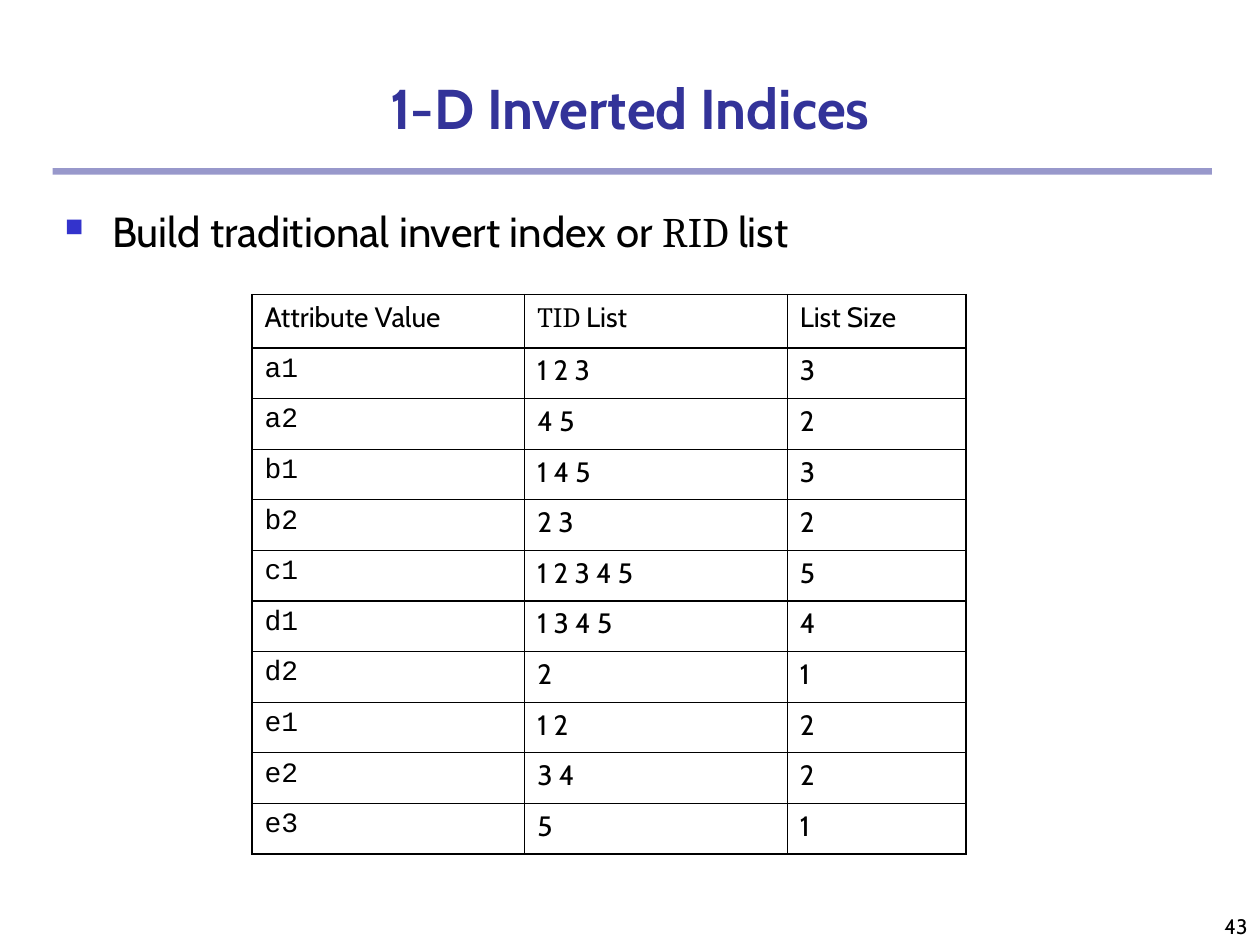
from lxml.etree import SubElement
from pptx import Presentation
from pptx.dml.color import RGBColor
from pptx.enum.shapes import MSO_SHAPE as Shape
from pptx.enum.text import MSO_ANCHOR as Anchor, PP_ALIGN as Align
from pptx.oxml import parse_xml
from pptx.oxml.ns import nsdecls, qn
from pptx.util import Cm, Pt

TITLE = "1-D Inverted Indices"
PAGE = "43"
SANS, SERIF, MONO = "Cabin", "Cambria", "Courier New"
BULLET = [("Build traditional invert index or ", SANS), ("RID", SERIF), (" list", SANS)]
HEADER = [[("Attribute Value", SANS)], [("TID ", SERIF), ("List", SANS)], [("List Size", SANS)]]
TID_LISTS = [
    ("a1", "1 2 3"), ("a2", "4 5"),
    ("b1", "1 4 5"), ("b2", "2 3"),
    ("c1", "1 2 3 4 5"),
    ("d1", "1 3 4 5"), ("d2", "2"),
    ("e1", "1 2"), ("e2", "3 4"), ("e3", "5"),
]
COLUMN_WIDTHS = [5.5, 5.29, 3.6]
HEADER_HEIGHT, ROW_HEIGHT = 1.07, 1.02
THIN, OUTER, HEAVY = 0.45, 1.08, 1.47
HEAVY_RULES = (1, 6)

NAVY = RGBColor(0x33, 0x33, 0x99)
BULLET_BLUE = RGBColor(0x33, 0x33, 0xCC)
BLACK = RGBColor(0, 0, 0)


def add_runs(paragraph, parts, size, color=BLACK, bold=False):
    for text, font_name in parts:
        run = paragraph.add_run()
        run.text = text
        run.font.name = font_name
        run.font.size = Pt(size)
        run.font.bold = bold
        run.font.color.rgb = color


def place(shape, left, top, width, height):
    shape.left, shape.top, shape.width, shape.height = map(Cm, (left, top, width, height))


def add_text(slide, box):
    frame = slide.shapes.add_textbox(*map(Cm, box)).text_frame
    frame.word_wrap = True
    return frame


def add_bullet(paragraph):
    props = paragraph._p.get_or_add_pPr()
    props.set("marL", str(Cm(0.95)))
    props.set("indent", str(-Cm(0.95)))
    color = SubElement(props, qn("a:buClr"))
    SubElement(color, qn("a:srgbClr"), val=str(BULLET_BLUE))
    SubElement(props, qn("a:buSzPct"), val="60000")
    SubElement(props, qn("a:buChar"), char="■")


def set_borders(cell, widths):
    props = cell._tc.get_or_add_tcPr()
    for position, (side, width) in enumerate(zip("LRTB", widths)):
        props.insert(position, parse_xml(
            f'<a:ln{side} {nsdecls("a")} w="{Pt(width)}"><a:solidFill>'
            f'<a:srgbClr val="{BLACK}"/></a:solidFill></a:ln{side}>'))


def rule_width(index, last):
    if index in HEAVY_RULES:
        return HEAVY
    return OUTER if index in (0, last) else THIN


def add_index_table(slide):
    rows = [HEADER] + [
        [[(value, MONO)], [(tids, SANS)], [(str(len(tids.split())), SANS)]]
        for value, tids in TID_LISTS
    ]
    heights = [HEADER_HEIGHT] + [ROW_HEIGHT] * len(TID_LISTS)
    columns = len(COLUMN_WIDTHS)
    table = slide.shapes.add_table(
        len(rows), columns, Cm(5.08), Cm(5.94),
        Cm(sum(COLUMN_WIDTHS)), Cm(sum(heights))).table
    table.horz_banding = False
    for column, width in zip(table.columns, COLUMN_WIDTHS):
        column.width = Cm(width)
    for r, (row, height) in enumerate(zip(rows, heights)):
        table.rows[r].height = Cm(height)
        for c, parts in enumerate(row):
            cell = table.cell(r, c)
            cell.fill.background()
            set_borders(cell, (
                OUTER if c == 0 else THIN,
                OUTER if c == columns - 1 else THIN,
                rule_width(r, len(rows)),
                rule_width(r + 1, len(rows))))
            paragraph = cell.text_frame.paragraphs[0]
            paragraph.space_before = Pt(4)
            add_runs(paragraph, parts, 16)


def main():
    deck = Presentation()
    deck.slide_width, deck.slide_height = Cm(25.4), Cm(19.05)
    slide = deck.slides.add_slide(deck.slide_layouts[5])

    rule = slide.shapes.add_shape(Shape.RECTANGLE, Cm(1.06), Cm(3.39), Cm(23.37), Cm(0.13))
    rule.shadow.inherit = False
    rule.fill.solid()
    rule.fill.fore_color.rgb = NAVY
    rule.line.fill.background()
    rule_color = rule.fill._xPr.find(qn("a:solidFill"))[0]
    SubElement(rule_color, qn("a:alpha"), val="50000")

    page_frame = add_text(slide, (20.12, 17.78, 5.28, 1.27))
    page_frame.vertical_anchor = Anchor.BOTTOM
    page = page_frame.paragraphs[0]
    page.alignment = Align.RIGHT
    add_runs(page, [(PAGE, SANS)], 12)

    title = slide.shapes.title
    place(title, 0, 1.06, 25.4, 1.91)
    title.text_frame.vertical_anchor = Anchor.BOTTOM
    heading = title.text_frame.paragraphs[0]
    heading.alignment = Align.CENTER
    add_runs(heading, [(TITLE, SANS)], 32, NAVY, bold=True)

    statement = add_text(slide, (1.06, 4.02, 23.28, 13.97)).paragraphs[0]
    statement.space_before = Pt(6)
    add_bullet(statement)
    add_runs(statement, BULLET, 24)

    add_index_table(slide)
    deck.save("out.pptx")


if __name__ == "__main__":
    main()
